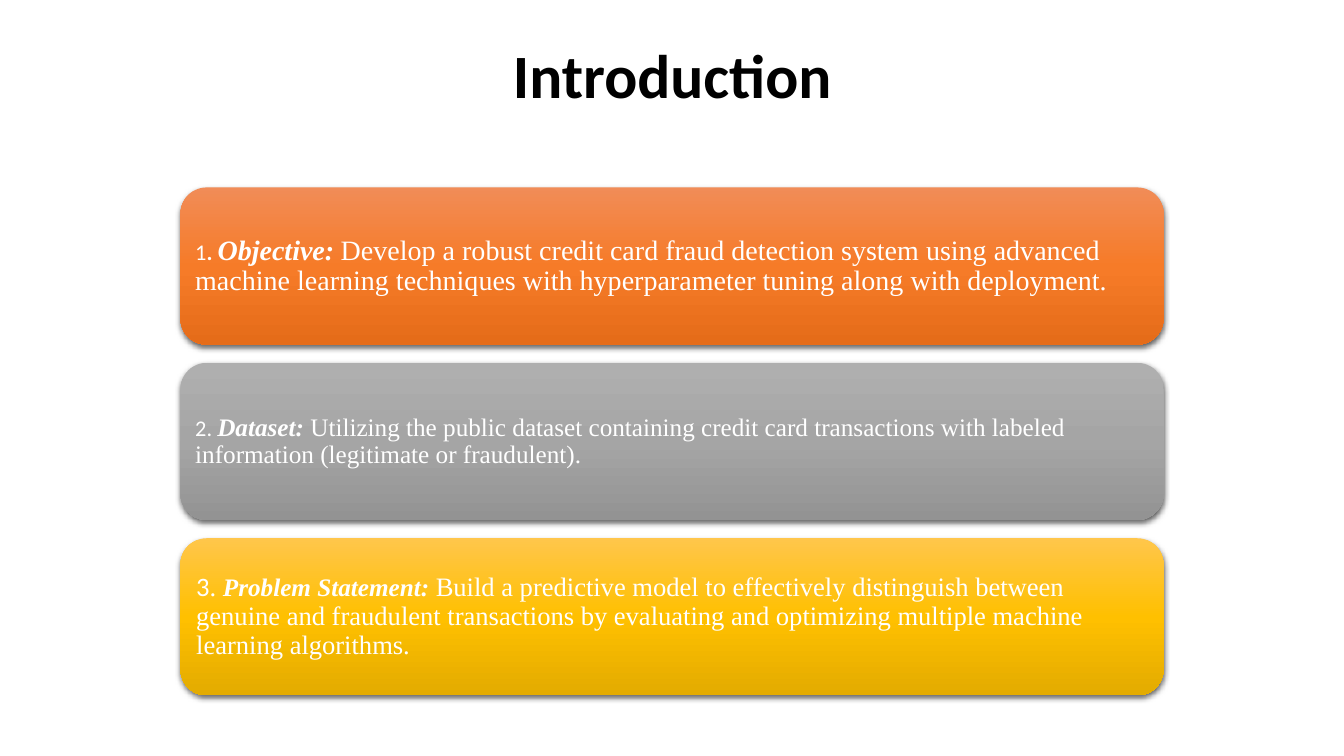
"""Build the Introduction slide: a title above three gradient cards."""
from copy import deepcopy
from dataclasses import dataclass

from lxml.etree import SubElement
from pptx import Presentation
from pptx.dml.color import RGBColor
from pptx.enum.shapes import MSO_SHAPE
from pptx.enum.text import MSO_ANCHOR, MSO_AUTO_SIZE, PP_ALIGN
from pptx.oxml.ns import qn
from pptx.shapes.autoshape import Shape
from pptx.slide import Slide
from pptx.util import Inches, Pt

BLACK = RGBColor(0x00, 0x00, 0x00)
WHITE = RGBColor(0xFF, 0xFF, 0xFF)
ORANGE = (RGBColor(0xF1, 0x8C, 0x57), RGBColor(0xF6, 0x7B, 0x28), RGBColor(0xE5, 0x6C, 0x19))
GRAY = (RGBColor(0xAF, 0xAF, 0xAF), RGBColor(0xA5, 0xA5, 0xA5), RGBColor(0x93, 0x93, 0x93))
GOLD = (RGBColor(0xFF, 0xC6, 0x4B), RGBColor(0xFF, 0xC0, 0x00), RGBColor(0xE3, 0xAB, 0x00))

SANS = "Calibri"
SERIF = "Times New Roman"
CARD_LEFT, CARD_TOP, CARD_WIDTH, CARD_HEIGHT = 1.79, 1.86, 9.75, 1.56
CARD_PITCH = 1.74


@dataclass(frozen=True)
class Span:
    text: str
    size: int
    font: str = SERIF
    bold: bool = False
    italic: bool = False


@dataclass(frozen=True)
class Card:
    colors: tuple[RGBColor, RGBColor, RGBColor]
    inset: float
    spans: tuple[Span, ...]


CARDS = (
    Card(ORANGE, 0.07, (
        Span("1", 16, SANS),
        Span(". ", 16, SANS, bold=True),
        Span("Objective:", 20, bold=True, italic=True),
        Span(" ", 18, bold=True),
        Span("Develop a robust credit card fraud detection system using advanced machine "
             "learning techniques with hyperparameter tuning along with deployment.", 20),
    )),
    Card(GRAY, 0.07, (
        Span("2. ", 16, SANS),
        Span("Dataset: ", 18, bold=True, italic=True),
        Span("Utilizing the public dataset containing credit card transactions with labeled "
             "information (legitimate or fraudulent).", 18),
    )),
    Card(GOLD, 0.08, (
        Span("3", 19, SANS),
        Span(". ", 19),
        Span("Problem Statement: ", 18, bold=True, italic=True),
        Span("Build a predictive model to effectively distinguish between genuine and "
             "fraudulent transactions by evaluating and optimizing multiple machine "
             "learning algorithms.", 19),
    )),
)


def fill_gradient(sp: Shape, colors: tuple[RGBColor, ...]) -> None:
    sp.fill.gradient()
    sp.fill.gradient_angle = 270
    stop_list = sp._element.spPr.find(qn("a:gradFill")).find(qn("a:gsLst"))
    stop_list.insert(1, deepcopy(stop_list[0]))
    for stop, position, color in zip(sp.fill.gradient_stops, (0, 0.5, 1), colors):
        stop.position = position
        stop.color.rgb = color


def add_shadow(sp: Shape) -> None:
    sp.shadow.inherit = False
    effects = sp._element.spPr.find(qn("a:effectLst"))
    shadow = SubElement(effects, qn("a:outerShdw"), blurRad=str(Pt(4.5)), dist=str(Pt(1.5)),
                        dir="5400000", algn="ctr", rotWithShape="0")
    color = SubElement(shadow, qn("a:srgbClr"), val=str(BLACK))
    SubElement(color, qn("a:alpha"), val="63000")


def add_title(slide: Slide, text: str) -> None:
    title = slide.shapes.title
    title.left, title.top = Inches(0.92), Inches(0.4)
    title.width, title.height = Inches(11.5), Inches(1.45)
    tf = title.text_frame
    tf.auto_size = MSO_AUTO_SIZE.NONE
    tf.vertical_anchor = MSO_ANCHOR.TOP
    p = tf.paragraphs[0]
    p.alignment = PP_ALIGN.CENTER
    p.line_spacing = 0.9
    r = p.add_run()
    r.text = text
    r.font.name, r.font.size, r.font.bold = SANS, Pt(44), True
    r.font.color.rgb = BLACK


def add_card(slide: Slide, card: Card, row: int) -> None:
    sp = slide.shapes.add_shape(
        MSO_SHAPE.ROUNDED_RECTANGLE, Inches(CARD_LEFT), Inches(CARD_TOP + row * CARD_PITCH),
        Inches(CARD_WIDTH), Inches(CARD_HEIGHT))
    fill_gradient(sp, card.colors)
    sp.line.fill.background()
    add_shadow(sp)
    tf = sp.text_frame
    tf.word_wrap = True
    tf.vertical_anchor = MSO_ANCHOR.MIDDLE
    tf.margin_left = tf.margin_right = tf.margin_top = tf.margin_bottom = Inches(card.inset)
    p = tf.paragraphs[0]
    p.alignment = PP_ALIGN.LEFT
    p.line_spacing = 0.9
    for span in card.spans:
        r = p.add_run()
        r.text = span.text
        r.font.name, r.font.size = span.font, Pt(span.size)
        r.font.bold, r.font.italic = span.bold, span.italic
        r.font.color.rgb = WHITE


def main() -> None:
    prs = Presentation()
    prs.slide_width, prs.slide_height = Inches(13.33), Inches(7.5)
    slide = prs.slides.add_slide(prs.slide_layouts.get_by_name("Title Only"))
    add_title(slide, "Introduction")
    for row, card in enumerate(CARDS):
        add_card(slide, card, row)
    prs.save("out.pptx")


if __name__ == "__main__":
    main()
